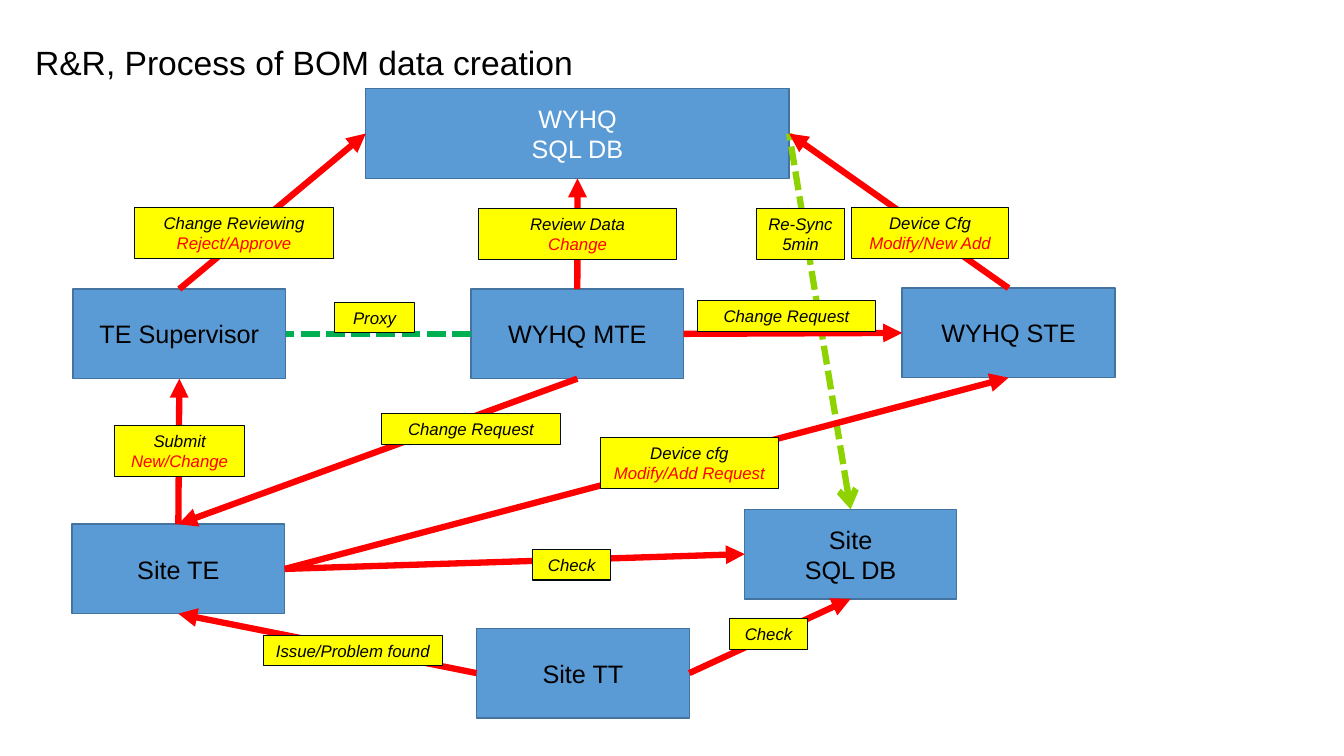
"""Build the slide on roles and process of BOM data creation."""
from pptx import Presentation
from pptx import util as u
from pptx.dml import color
from pptx.enum import dml, shapes, text
from lxml import etree

Pt = u.Pt
RGB = color.RGBColor
BLACK = RGB(0x00, 0x00, 0x00)
WHITE = RGB(0xFF, 0xFF, 0xFF)
RED = RGB(0xFF, 0x00, 0x00)
BLUE = RGB(0x5B, 0x9B, 0xD5)
NAVY = RGB(0x43, 0x73, 0x9E)
YELLOW = RGB(0xFF, 0xFF, 0x00)
INK = RGB(0x01, 0x0C, 0x10)
GREEN = RGB(0x00, 0xB0, 0x50)
LIME = RGB(0x8E, 0xD3, 0x00)
A = "{http://schemas.openxmlformats.org/drawingml/2006/main}"
TOP, LEFT, BOTTOM, RIGHT = range(4)


class Diagram:
    def __init__(self, s, font="Arial"):
        self.s = s
        self.font = font

    def put_text(self, tf, lines, size, colors=(BLACK,), italic=False,
                 align=text.PP_ALIGN.CENTER, anchor=text.MSO_ANCHOR.TOP):
        tf.word_wrap = True
        tf.vertical_anchor = anchor
        for i, line in enumerate(lines):
            p = tf.paragraphs[0] if i == 0 else tf.add_paragraph()
            p.alignment = align
            r = p.add_run()
            r.text = line
            r.font.name = self.font
            r.font.size = Pt(size)
            r.font.italic = italic
            r.font.color.rgb = colors[min(i, len(colors) - 1)]

    def title(self, line, x, y, w, h):
        sp = self.s.shapes.add_textbox(Pt(x), Pt(y), Pt(w), Pt(h))
        self.put_text(sp.text_frame, [line], 24, align=text.PP_ALIGN.LEFT)

    def rect(self, x, y, w, h, fill, border, weight):
        sp = self.s.shapes.add_shape(
            shapes.MSO_SHAPE.RECTANGLE, Pt(x), Pt(y), Pt(w), Pt(h))
        sp.shadow.inherit = False
        sp.fill.solid()
        sp.fill.fore_color.rgb = fill
        sp.line.color.rgb = border
        sp.line.width = Pt(weight)
        return sp

    def box(self, lines, x, y, w=152, ink=BLACK):
        sp = self.rect(x, y, w, 64, BLUE, NAVY, 1)
        self.put_text(sp.text_frame, lines, 18, colors=(ink,),
                      anchor=text.MSO_ANCHOR.MIDDLE)
        return sp

    def label(self, lines, x, y, w, second=RED):
        sp = self.rect(x, y, w, 7.2 + 14.6 * len(lines), YELLOW, INK, 0.75)
        self.put_text(sp.text_frame, lines, 12, colors=(BLACK, second), italic=True)
        sp.text_frame.auto_size = text.MSO_AUTO_SIZE.SHAPE_TO_FIT_TEXT

    def link(self, start, start_side, end, end_side, ink=RED, dashed=False,
             arrow=("tailEnd", "triangle")):
        c = self.s.shapes.add_connector(
            shapes.MSO_CONNECTOR.STRAIGHT, Pt(0), Pt(0), Pt(0), Pt(0))
        c.begin_connect(start, start_side)
        c.end_connect(end, end_side)
        c.line.color.rgb = ink
        c.line.width = Pt(4.5)
        if dashed:
            c.line.dash_style = dml.MSO_LINE.SQUARE_DOT
        spPr = c.element.spPr
        if arrow:
            place, kind = arrow
            etree.SubElement(spPr.find(A + "ln"), A + place, type=kind)
        etree.SubElement(spPr, A + "effectLst")


def main():
    prs = Presentation()
    prs.slide_width, prs.slide_height = Pt(960), Pt(540)
    d = Diagram(prs.slides.add_slide(prs.slide_layouts[6]))

    d.title("R&R, Process of BOM data creation", 18, 26.5, 418, 36)

    hq_db = d.box(["WYHQ", "SQL DB"], 261.3, 63.4, w=302.4, ink=WHITE)
    site_te = d.box(["Site TE"], 51.4, 374.4)
    supervisor = d.box(["TE Supervisor"], 52.1, 206.5)
    mte = d.box(["WYHQ MTE"], 336.4, 206.5)
    ste = d.box(["WYHQ STE"], 644.4, 205.8)
    site_tt = d.box(["Site TT"], 340.4, 448.8)
    site_db = d.box(["Site", "SQL DB"], 532, 363.8, w=151.2)

    d.link(site_db, TOP, hq_db, RIGHT, ink=LIME, dashed=True,
           arrow=("headEnd", "arrow"))
    d.link(mte, LEFT, supervisor, RIGHT, ink=GREEN, dashed=True, arrow=None)
    for ends in (
        (ste, TOP, hq_db, RIGHT),
        (supervisor, TOP, hq_db, LEFT),
        (site_te, TOP, supervisor, BOTTOM),
        (mte, TOP, hq_db, BOTTOM),
        (mte, BOTTOM, site_te, TOP),
        (site_te, RIGHT, ste, BOTTOM),
        (mte, RIGHT, ste, LEFT),
        (site_tt, LEFT, site_te, BOTTOM),
        (site_tt, RIGHT, site_db, BOTTOM),
        (site_te, RIGHT, site_db, LEFT),
    ):
        d.link(*ends)

    for lines, x, y, w in (
        (["Submit", "New/Change"], 81.8, 304, 93),
        (["Change Reviewing", "Reject/Approve"], 96.2, 148.3, 142),
        (["Review Data", "Change"], 341.6, 148.8, 142),
        (["Change Request"], 272.6, 295.4, 127.8),
        (["Device cfg", "Modify/Add Request"], 428.8, 312.4, 127.4),
        (["Device Cfg", "Modify/New Add"], 608.2, 148.3, 112.4),
        (["Change Request"], 498.2, 214.8, 127.4),
        (["Issue/Problem found"], 188.2, 453.8, 127.8),
        (["Proxy"], 239, 216, 57),
        (["Check"], 380.6, 392.5, 55.6),
        (["Check"], 521.2, 442, 55.6),
    ):
        d.label(lines, x, y, w)
    d.label(["Re-Sync", "5min"], 540.5, 149, 62.6, second=BLACK)

    prs.save("out.pptx")


if __name__ == "__main__":
    main()
